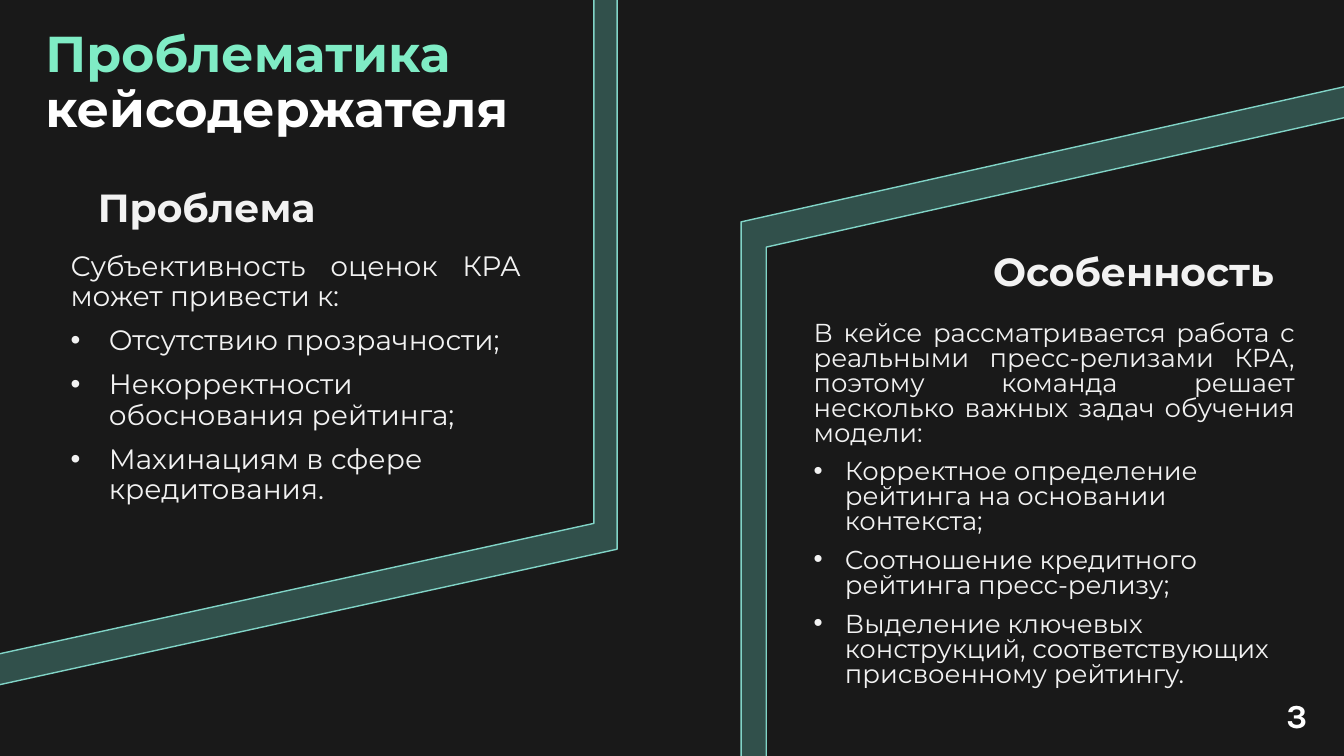
"""Build the slide on the case holder's problem and its special feature."""
from dataclasses import dataclass

from lxml import etree
from pptx import Presentation
from pptx.dml.color import RGBColor
from pptx.enum.shapes import MSO_SHAPE
from pptx.enum.text import MSO_ANCHOR, MSO_AUTO_SIZE, PP_ALIGN
from pptx.oxml.ns import qn
from pptx.util import Inches, Pt

SLANTED = MSO_SHAPE.FLOWCHART_MANUAL_INPUT
TOP, BOTTOM = MSO_ANCHOR.TOP, MSO_ANCHOR.BOTTOM
LEFT, JUSTIFY = PP_ALIGN.LEFT, PP_ALIGN.JUSTIFY
FIXED = MSO_AUTO_SIZE.NONE


@dataclass(frozen=True)
class Theme:
    dark: RGBColor = RGBColor.from_string("191919")
    band: RGBColor = RGBColor.from_string("31504B")
    edge: RGBColor = RGBColor.from_string("81D4C7")
    accent: RGBColor = RGBColor.from_string("7FECC5")
    white: RGBColor = RGBColor.from_string("FFFFFF")
    text: RGBColor = RGBColor.from_string("F2F2F2")
    font: str = "Montserrat"
    number_font: str = "Karla"
    title: float = 36
    heading: float = 28
    problem: float = 20
    feature: float = 18.5
    number: float = 24


theme = Theme()


def place(box, left, top, width, height, anchor=TOP):
    """Move a text holder, fix its size and return its text frame."""
    box.left, box.top = Inches(left), Inches(top)
    box.width, box.height = Inches(width), Inches(height)
    frame = box.text_frame
    frame.word_wrap = True
    frame.auto_size = FIXED
    frame.vertical_anchor = anchor
    return frame


def write(para, text, size, color=theme.text, bold=False, font=theme.font,
          align=LEFT, spacing=0.9, before=0, indent=None):
    """Add a formatted span; an indent sets the bullet, zero removes it."""
    para.alignment = align
    para.line_spacing = spacing
    para.space_before = Pt(before)
    if indent is not None:
        props = para._p.get_or_add_pPr()
        props.set("marL", str(Inches(indent)))
        props.set("indent", str(-Inches(indent)))
        if indent:
            etree.SubElement(props, qn("a:buFont")).set("typeface", "Arial")
            etree.SubElement(props, qn("a:buChar")).set("char", "•")
        else:
            etree.SubElement(props, qn("a:buNone"))
    span = para.add_run()
    span.text = text
    span.font.size = Pt(size)
    span.font.name = font
    span.font.bold = bold
    span.font.color.rgb = color


deck = Presentation()
deck.slide_width, deck.slide_height = Inches(13.33), Inches(7.5)
page = deck.slides.add_slide(deck.slide_layouts[4])
page.background.fill.solid()
page.background.fill.fore_color.rgb = theme.dark

panels = [
    (7.35, 0.81, 6.21, 6.96, 0, theme.band),
    (-0.22, -0.12, 6.34, 6.96, 180, theme.band),
    (-0.16, -0.12, 6.05, 6.64, 180, theme.dark),
    (7.6, 1.13, 5.9, 6.61, 0, theme.dark),
]
for left, top, width, height, rotation, color in panels:
    panel = page.shapes.add_shape(
        SLANTED, Inches(left), Inches(top), Inches(width), Inches(height))
    panel.rotation = rotation
    panel.shadow.inherit = False
    panel.fill.solid()
    panel.fill.fore_color.rgb = color
    panel.line.color.rgb = theme.edge
    panel.line.width = Pt(1)

tree = page.shapes._spTree
for holder in page.placeholders:
    tree.append(holder._element)

title = place(page.shapes.title, 0.35, 0.23, 5.52, 1.19, BOTTOM).paragraphs[0]
write(title, "Проблематика ", theme.title, theme.accent, bold=True)
write(title, "кейсодержателя", theme.title, theme.white, bold=True)

columns = [
    (1, "Проблема", (0.87, 1.82, 2.84, 0.64),
     2, (0.6, 2.45, 4.67, 2.71), theme.problem, 0.9, 0.38,
     ["Субъективность оценок КРА может привести к:",
      "Отсутствию прозрачности;",
      "Некорректности обоснования рейтинга;",
      "Махинациям в сфере кредитования."]),
    (3, "Особенность", (9.75, 2.46, 3.4, 0.58),
     4, (7.97, 3.15, 4.97, 3.89), theme.feature, 0.8, 0.31,
     ["В кейсе рассматривается работа с реальными пресс-релизами КРА, "
      "поэтому команда решает несколько важных задач обучения модели:",
      "Корректное определение рейтинга на основании контекста;",
      "Соотношение кредитного рейтинга пресс-релизу;",
      "Выделение ключевых конструкций, соответствующих присвоенному рейтингу."]),
]
for (heading_id, heading, heading_area, list_id, list_area,
     size, spacing, indent, (intro, *points)) in columns:
    frame = place(page.placeholders[heading_id], *heading_area)
    write(frame.paragraphs[0], heading, theme.heading, bold=True, indent=0)
    frame = place(page.placeholders[list_id], *list_area)
    write(frame.paragraphs[0], intro, size, align=JUSTIFY,
          spacing=spacing, indent=0)
    for point in points:
        write(frame.add_paragraph(), point, size,
              spacing=spacing, before=10, indent=indent)

number_area = (12.66, 6.84, 0.45, 0.5)
number = page.shapes.add_textbox(*map(Inches, number_area))
write(place(number, *number_area).paragraphs[0], "3", theme.number, theme.white,
      bold=True, font=theme.number_font, spacing=1.0)

deck.save("out.pptx")
